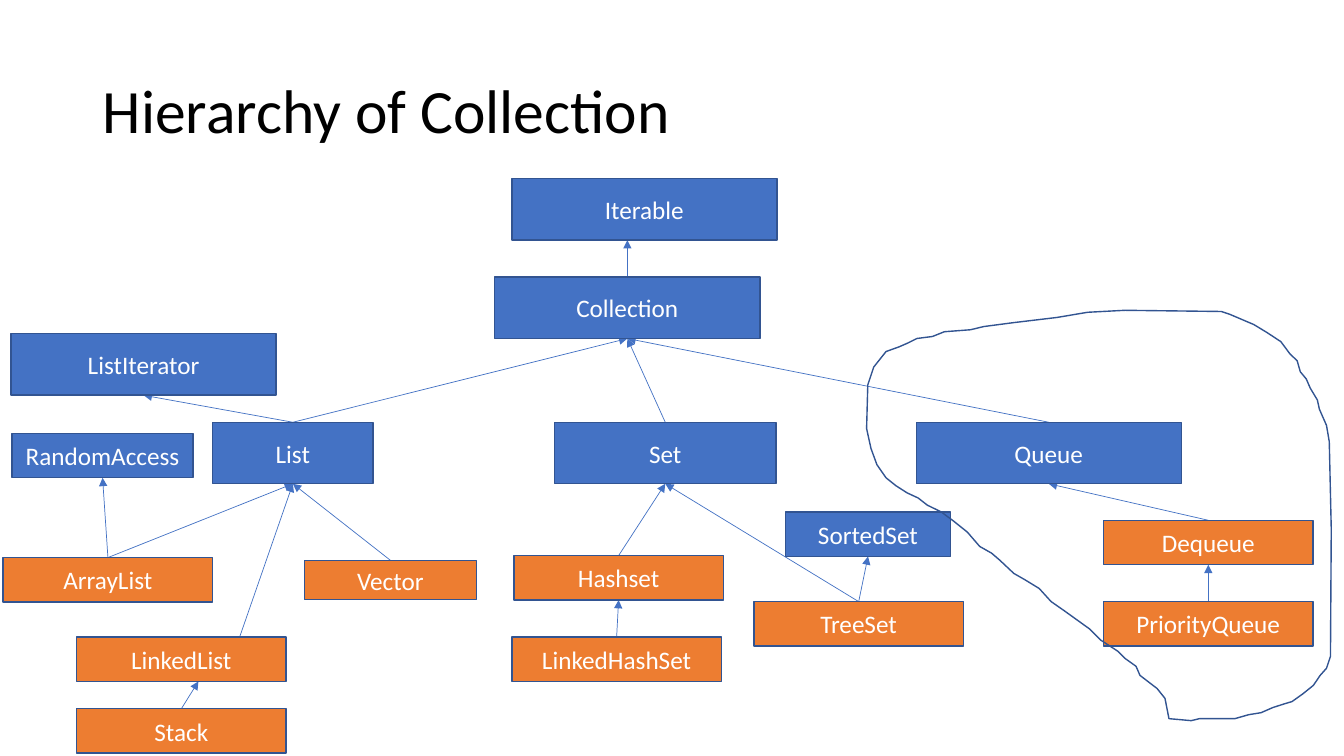
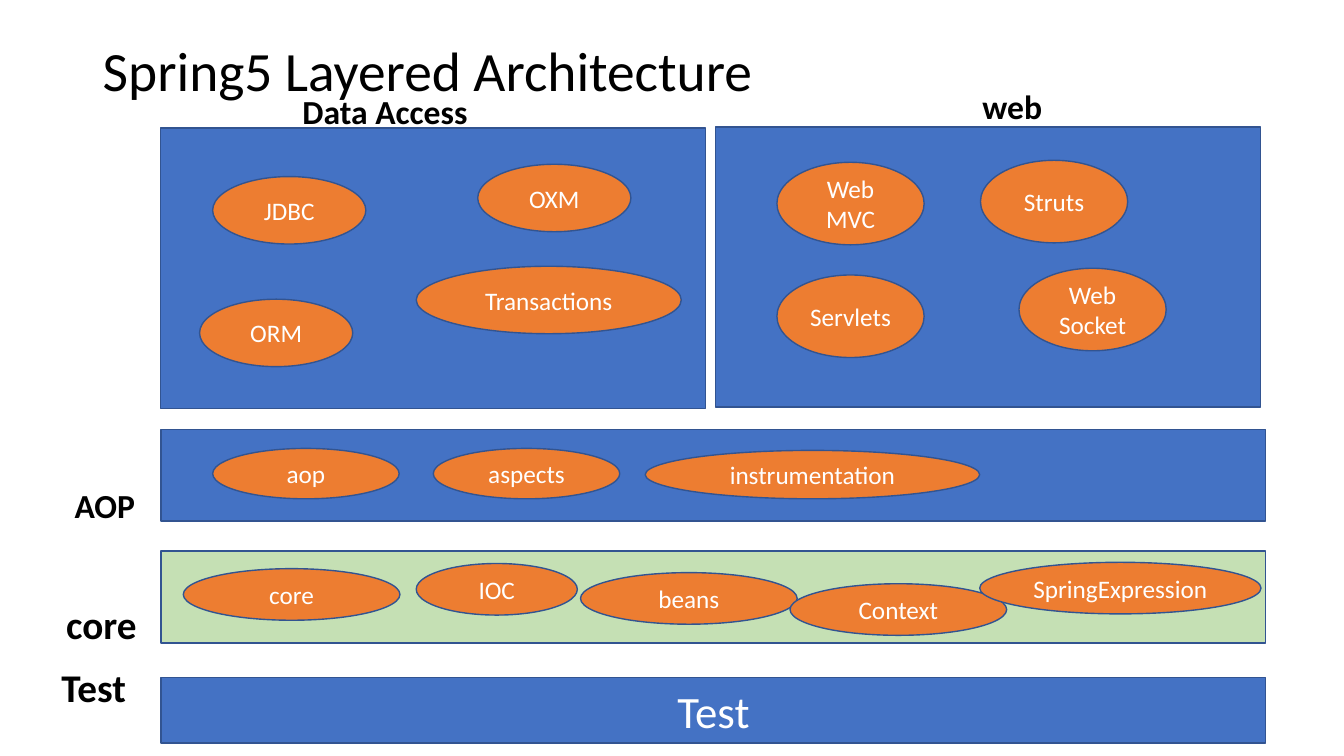
from dataclasses import dataclass
from typing import Any

from pptx import Presentation
from pptx.dml.color import RGBColor
from pptx.enum.shapes import MSO_CONNECTOR as Conn, MSO_SHAPE as Form
from pptx.enum.text import MSO_ANCHOR as Anchor, MSO_AUTO_SIZE as Auto, PP_ALIGN as Align
from pptx.oxml.ns import qn
from pptx.util import Cm, Pt
from lxml.etree import SubElement

BLUE, ORANGE, GREEN = "4472C4", "ED7D31", "C5E0B4"
EDGE, WHITE, BLACK = "325491", "FFFFFF", "000000"
FONT = "Calibri"
TITLE = {"word_wrap": True, "vertical_anchor": Anchor.MIDDLE}
LABEL = {"word_wrap": False, "auto_size": Auto.SHAPE_TO_FIT_TEXT}


@dataclass
class Box:
    """A filled shape with centred text; lengths in cm."""
    text: str
    x: float
    y: float
    w: float = 5.28
    h: float = 1.12
    fill: str = ORANGE
    size: float = 18
    form: Any = Form.RECTANGLE

    @property
    def mid(self) -> float:
        """Return the middle of the box across."""
        return self.x + self.w / 2


@dataclass
class Link:
    """An arrow from a child's top to its parent's bottom, with shifts."""
    child: str
    parent: str
    start: float = 0
    end: float = 0


@dataclass
class Label:
    """Plain text without a frame; lengths in cm."""
    text: str
    x: float
    y: float
    w: float
    h: float
    size: float
    bold: bool = True


def paint(target: Any, code: str) -> None:
    """Give a fill or line format a solid colour."""
    target.solid()
    target.fore_color.rgb = RGBColor.from_string(code)


def apply(target: Any, values: dict) -> None:
    """Set each format value on the target."""
    for name, value in values.items():
        setattr(target, name, value)


def stroke(line: Any, code: str, width: float) -> None:
    """Set the colour and width of a line."""
    paint(line.fill, code)
    line.width = Pt(width)


def write(shape: Any, text: str, size: float, code: str, frame: dict,
          para: dict, bold: bool = False) -> None:
    """Put one formatted paragraph into a shape."""
    body = shape.text_frame
    apply(body, frame)
    first = body.paragraphs[0]
    apply(first, para)
    run = first.add_run()
    run.text = text
    apply(run.font, {"name": FONT, "size": Pt(size), "bold": bold})
    paint(run.font.fill, code)


def draw_box(slide: Any, box: Box) -> None:
    """Draw a box with its text, if any."""
    shape = slide.shapes.add_shape(
        box.form, Cm(box.x), Cm(box.y), Cm(box.w), Cm(box.h))
    shape.shadow.inherit = False
    paint(shape.fill, box.fill)
    stroke(shape.line, EDGE, 1)
    if box.text:
        write(shape, box.text, box.size, WHITE, TITLE, {"alignment": Align.CENTER})


def draw_link(slide: Any, link: Link, nodes: dict[str, Box]) -> None:
    """Draw the arrow between two named boxes."""
    child, parent = nodes[link.child], nodes[link.parent]
    arrow = slide.shapes.add_connector(
        Conn.STRAIGHT, Cm(child.mid + link.start), Cm(child.y),
        Cm(parent.mid + link.end), Cm(parent.y + parent.h))
    stroke(arrow.line, BLUE, 0.5)
    props = arrow.element.spPr
    SubElement(props.find(qn("a:ln")), qn("a:tailEnd"), type="triangle")
    SubElement(props, qn("a:effectLst"))


def draw_label(slide: Any, label: Label, frame: dict, para: dict) -> None:
    """Draw text in a text box."""
    area = slide.shapes.add_textbox(
        Cm(label.x), Cm(label.y), Cm(label.w), Cm(label.h))
    write(area, label.text, label.size, BLACK, frame, para, label.bold)


def draw_loop(slide: Any, points: list[tuple[float, float]]) -> None:
    """Draw a closed hand-drawn outline without fill."""
    first, *rest = [(Cm(x), Cm(y)) for x, y in points]
    pen = slide.shapes.build_freeform(*first)
    pen.add_line_segments(rest, close=True)
    loop = pen.convert_to_shape()
    loop.shadow.inherit = False
    loop.fill.background()
    stroke(loop.line, EDGE, 1)


def new_slide(deck: Any, title: Label) -> Any:
    """Add a blank slide with a title."""
    slide = deck.slides.add_slide(deck.slide_layouts[6])
    draw_label(slide, title, TITLE, {"line_spacing": 0.9})
    return slide


TYPES = [
    Box("Iterable", 12.9, 4.5, 6.68, 1.55, BLUE),
    Box("Collection", 12.47, 6.98, 6.68, 1.55, BLUE),
    Box("ListIterator", 0.28, 8.41, 6.68, 1.55, BLUE),
    Box("List", 5.36, 10.64, 4.04, 1.55, BLUE),
    Box("Set", 13.97, 10.64, 5.59, 1.55, BLUE),
    Box("Queue", 23.09, 10.64, 6.68, 1.55, BLUE),
    Box("RandomAccess", 0.3, 10.92, 4.57, fill=BLUE),
    Box("SortedSet", 19.79, 12.9, 4.17, fill=BLUE),
    Box("ArrayList", 0.08, 14.05),
    Box("Vector", 7.67, 14.12, 4.34, 0.99),
    Box("LinkedList", 1.93, 16.05),
    Box("Stack", 1.93, 17.86),
    Box("Hashset", 12.95, 14),
    Box("LinkedHashSet", 12.9, 16.05),
    Box("TreeSet", 19, 15.16),
    Box("Dequeue", 27.81, 13.11),
    Box("PriorityQueue", 27.81, 15.16),
]

LINKS = [
    Link("Collection", "Iterable", end=-0.43),
    Link("List", "Collection"),
    Link("Set", "Collection"),
    Link("Queue", "Collection"),
    Link("List", "ListIterator"),
    Link("ArrayList", "RandomAccess"),
    Link("ArrayList", "List"),
    Link("Vector", "List"),
    Link("LinkedList", "List", start=1.47),
    Link("Stack", "LinkedList", end=0.43),
    Link("Hashset", "Set"),
    Link("LinkedHashSet", "Hashset"),
    Link("TreeSet", "Set"),
    Link("TreeSet", "SortedSet"),
    Link("Dequeue", "Queue"),
    Link("PriorityQueue", "Dequeue"),
]

LOOP = [
    (29.46, 18.11), (29.36, 17.6), (29.16, 17.35), (28.73, 17.02), (28.63, 16.79),
    (28.35, 16.59), (28.17, 16.41), (27.74, 16.13), (27.46, 15.85), (26.82, 15.39),
    (26.49, 15.16), (26.19, 14.83), (25.83, 14.61), (25.55, 14.45), (25.2, 14.12),
    (24.99, 13.94), (24.69, 13.77), (24.38, 13.41), (24.03, 13.13), (23.72, 12.9),
    (23.37, 12.73), (23.14, 12.55), (22.86, 12.42), (22.58, 12.24), (22.33, 12.04),
    (22.1, 11.71), (21.95, 11.3), (21.84, 10.8), (21.87, 9.7), (22.02, 9.25),
    (22.33, 8.86), (22.66, 8.74), (22.89, 8.64), (23.11, 8.53), (23.5, 8.48),
    (23.8, 8.36), (24.46, 8.31), (24.79, 8.23), (25.55, 8.13), (26.64, 8),
    (27.41, 7.87), (28.35, 7.82), (30.78, 7.85), (30.99, 7.92), (31.6, 8.18),
    (31.93, 8.38), (32.28, 8.61), (32.51, 8.92), (32.69, 9.09), (32.77, 9.37),
    (32.92, 9.55), (33.02, 9.78), (33.2, 10.08), (33.25, 10.31), (33.43, 10.72),
    (33.5, 11.13), (33.55, 13.34), (33.53, 16.54), (33.43, 16.84), (33.27, 17.02),
    (33.1, 17.27), (32.84, 17.48), (32.56, 17.68), (32.39, 17.73), (32.08, 17.83),
    (31.78, 17.96), (31.47, 18.01), (31.12, 18.11), (30.23, 18.11), (30.02, 18.16),
]

LAYERS = [
    Box("", 4.04, 3.23, 13.74, 7.06, BLUE),
    Box("", 18.03, 3.2, 13.74, 7.06, BLUE),
    Box("", 4.06, 10.82, 27.84, 2.31, BLUE),
    Box("", 4.06, 13.89, 27.84, 2.31, GREEN),
    Box("Test", 4.06, 17.07, 27.84, 1.65, BLUE, 32),
]

PARTS = [
    ("JDBC", 5.36, 4.45, 3.86, 1.7),
    ("ORM", 5.03, 7.54, 3.86, 1.7),
    ("OXM", 12.04, 4.14, 3.86, 1.7),
    ("Transactions", 10.49, 6.71, 6.68, 1.7),
    ("Web MVC", 19.58, 4.09, 3.71, 2.08),
    ("Servlets", 19.58, 6.93, 3.71, 2.08),
    ("Struts", 24.71, 4.04, 3.71, 2.08),
    ("Web Socket", 25.68, 6.76, 3.71, 2.08),
    ("aop", 5.36, 11.3, 4.7, 1.27),
    ("aspects", 10.92, 11.3, 4.7, 1.27),
    ("instrumentation", 16.26, 11.35, 8.43, 1.22),
    ("core", 4.62, 14.33, 5.46, 1.3),
    ("IOC", 10.49, 14.2, 4.06, 1.3),
    ("beans", 14.63, 14.43, 5.46, 1.3),
    ("Context", 19.91, 14.71, 5.46, 1.3),
    ("SpringExpression", 24.69, 14.17, 7.09, 1.3),
]

LABELS = [
    Label("Data Access", 7.37, 2.16, 4.72, 1.27, 24),
    Label("web", 24.51, 2.03, 2.03, 1.27, 24),
    Label("AOP", 1.63, 12.09, 2.06, 1.27, 24),
    Label("core", 1.42, 15.01, 2.31, 1.45, 28),
    Label("Test", 1.3, 16.59, 2.16, 1.45, 28),
]


def add_tree(deck: Any) -> None:
    """Build the slide with the type hierarchy."""
    slide = new_slide(deck, Label(
        "Hierarchy of Collection", 2.34, 1.02, 29.21, 3.68, 44, False))
    nodes = {box.text: box for box in TYPES}
    for link in LINKS:
        draw_link(slide, link, nodes)
    for box in TYPES:
        draw_box(slide, box)
    draw_loop(slide, LOOP)


def add_stack(deck: Any) -> None:
    """Build the slide with the layers."""
    slide = new_slide(deck, Label(
        "Spring5 Layered Architecture", 2.34, 1.02, 24.23, 1.65, 39.6, False))
    ovals = [Box(*part, form=Form.OVAL) for part in PARTS]
    for box in LAYERS + ovals:
        draw_box(slide, box)
    for label in LABELS:
        draw_label(slide, label, LABEL, {})


def main() -> None:
    """Build and save the deck."""
    deck = Presentation()
    apply(deck, {"slide_width": Cm(33.87), "slide_height": Cm(19.05)})
    add_tree(deck)
    add_stack(deck)
    deck.save("out.pptx")


main()
